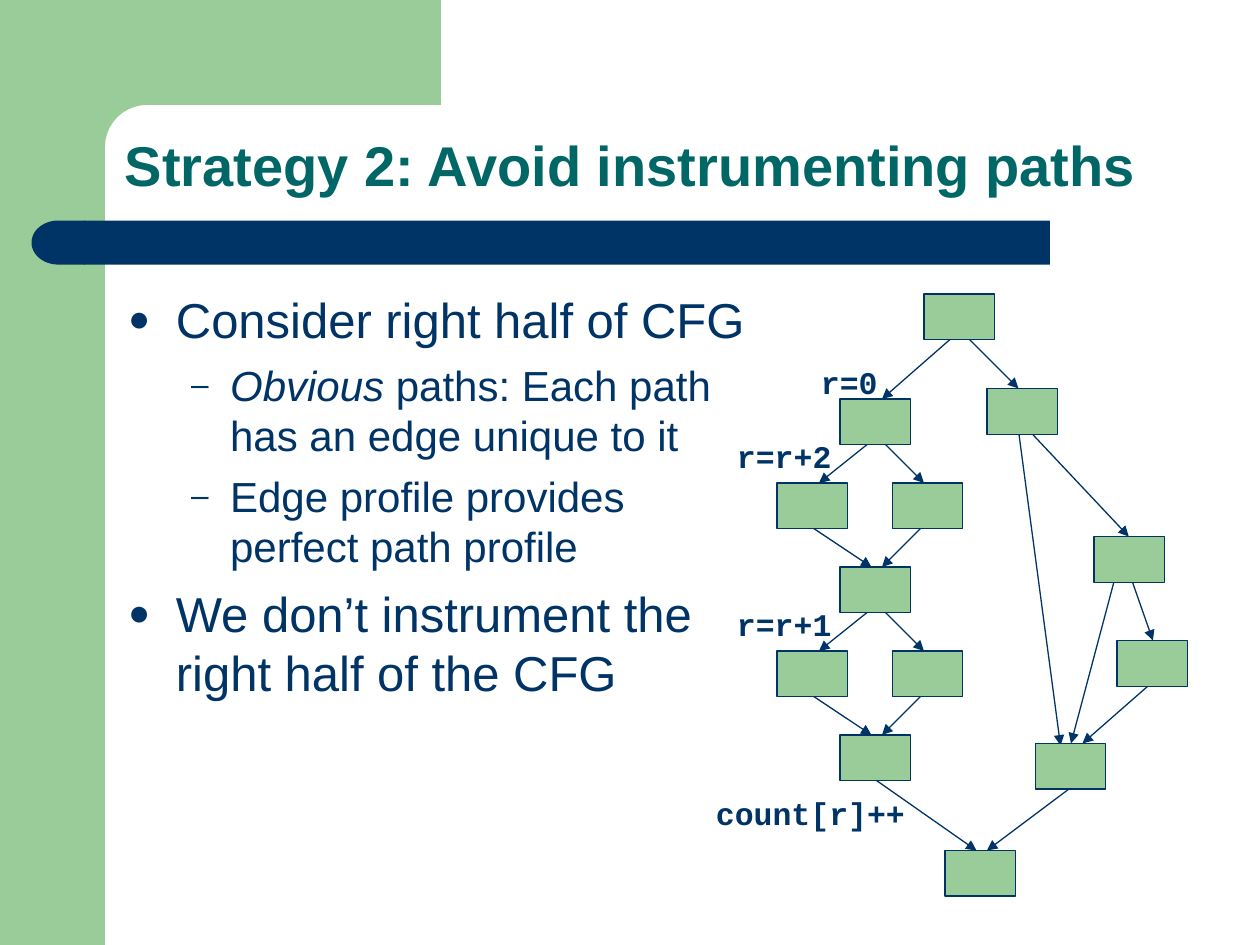
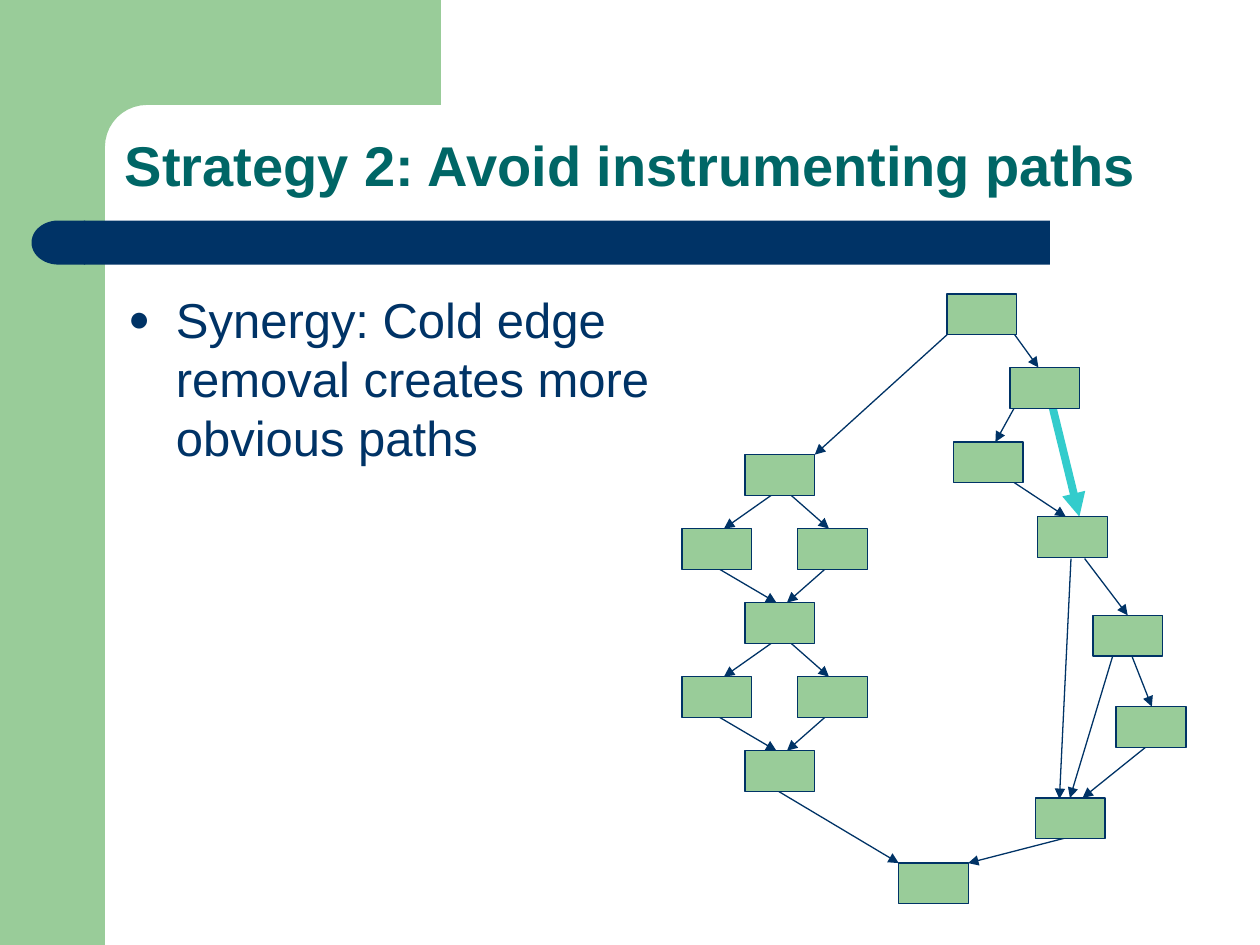
import math
from dataclasses import dataclass

import lxml.etree
import pptx
import pptx.dml.color
import pptx.enum.shapes
import pptx.enum.text
import pptx.oxml.ns
import pptx.util

NAVY, GREEN, TEAL, CYAN, WHITE = "003366", "99CC99", "006666", "33CCCC", "FFFFFF"
SANS, MONO = "Arial", "Courier New"
CELL = pptx.util.Inches(1) / 12  # the slide is 120 columns by 90 rows
COLUMNS, ROWS = 120, 90
TITLE = "Strategy 2: Avoid instrumenting paths"
SHAPES = pptx.enum.shapes.MSO_SHAPE
FIT = pptx.enum.text.MSO_AUTO_SIZE


@dataclass(frozen=True)
class Edge:
    start: tuple[float, float]
    end: tuple[float, float]
    color: str = NAVY
    weight: float = 0.75


@dataclass(frozen=True)
class Ladder:
    """Two stacked diamonds of blocks, starting at the top block."""
    column: float
    row: float
    pitch: float

    def blocks(self) -> list[tuple[float, float]]:
        spots = [(0, 0), (-6, 1), (5, 1), (0, 2), (-6, 3), (5, 3), (0, 4)]
        return [(self.column + x, self.row + y * self.pitch) for x, y in spots]

    def edges(self) -> list[Edge]:
        links = [(3, 0.5, -2, 1), (4, 0.5, 8, 1), (-3, 1.5, 3, 2), (8, 1.5, 4, 2)]
        return [Edge((self.column + x1, self.row + (y1 + level) * self.pitch),
                     (self.column + x2, self.row + (y2 + level) * self.pitch))
                for level in (0, 2) for x1, y1, x2, y2 in links]


@dataclass(frozen=True)
class Graph:
    block_size: tuple[float, float]
    ladder: Ladder
    blocks: list[tuple[float, float]]
    edges: list[Edge]


@dataclass(frozen=True)
class Label:
    text: str
    column: float
    row: float


@dataclass(frozen=True)
class Bullet:
    text: str
    level: int = 0
    lead: str = ""  # italic opening words


@dataclass(frozen=True)
class BulletStyle:
    mark: str
    size: int
    margin: float
    hanging: float
    before: int


@dataclass(frozen=True)
class Page:
    bullets: list[Bullet]
    graph: Graph
    labels: list[Label]


BULLET_STYLES = [BulletStyle("●", 28, 0.38, 0.38, 7), BulletStyle("–", 24, 0.81, 0.31, 6)]

PAGES = [
    Page(
        [Bullet("Consider right half of CFG"),
         Bullet(" paths: Each path has an edge unique to it", 1, "Obvious"),
         Bullet("Edge profile provides perfect path profile", 1),
         Bullet("We don’t instrument the right half of the CFG")],
        Graph(
            (6.7, 4.35), Ladder(80, 38, 8),
            [(88, 28), (94, 37), (104.2, 51.1), (106.4, 61), (98.6, 70.8), (90, 81)],
            [Edge((112, 63), (103.1, 70.8)), Edge((107, 52), (102, 70.8)),
             Edge((97, 41), (101, 71)), Edge((91, 31), (97, 37)),
             Edge((92, 31), (84, 38)), Edge((83, 74), (93, 81)),
             Edge((102, 75), (94, 81)), Edge((107, 53), (109.8, 61)),
             Edge((98, 41), (107.5, 51.1))]),
        [Label("r=r+2", 69, 41), Label("r=r+1", 69, 57),
         Label("r=0", 77, 34), Label("count[r]++", 67, 75)]),
    Page(
        [Bullet("Synergy: Cold edge removal creates more obvious paths")],
        Graph(
            (6.65, 3.88), Ladder(70.95, 43.3, 7.05),
            [(90.2, 28), (96.2, 35), (90.8, 42.1), (98.8, 49.2), (104.1, 58.6),
             (106.3, 67.3), (98.6, 76), (85.6, 82.2)],
            [Edge((111.8, 69), (103.1, 76)), Edge((106.9, 59.4), (101.9, 76)),
             Edge((102, 53.2), (100.9, 76.1)), Edge((96, 31), (98.9, 35)),
             Edge((90.4, 31.7), (77.6, 43.3)), Edge((73.7, 75.1), (85.6, 82.2)),
             Edge((101.5, 79.8), (92.2, 82.2)), Edge((106.9, 60.2), (109.7, 67.3)),
             Edge((103.3, 53.2), (107.4, 58.6)), Edge((96.2, 45.7), (101.5, 49.2)),
             Edge((100.2, 38.6), (102.8, 49.2), CYAN, 4.5),
             Edge((97.4, 37.4), (94.8, 42.1))]),
        []),
]


def grid(*cells: float) -> list[int]:
    return [pptx.util.Emu(round(cell * CELL)) for cell in cells]


def rgb(color: str) -> pptx.dml.color.RGBColor:
    return pptx.dml.color.RGBColor.from_string(color)


def add_element(parent, tag: str, **attributes: str):
    element = lxml.etree.SubElement(parent, pptx.oxml.ns.qn(tag))
    for name, value in attributes.items():
        element.set(name, value)
    return element


def paint(shape, fill: str, outline: str = "") -> None:
    shape.shadow.inherit = False
    shape.fill.solid()
    shape.fill.fore_color.rgb = rgb(fill)
    if outline:
        shape.line.color.rgb = rgb(outline)
        shape.line.width = pptx.util.Pt(0.75)
    else:
        shape.line.fill.background()


def write(para, text: str, *, size: float, color: str = NAVY, font: str = SANS,
          bold: bool = False, italic: bool = False) -> None:
    span = para.add_run()
    span.text = text
    span.font.name = font
    span.font.size = pptx.util.Pt(size)
    span.font.color.rgb = rgb(color)
    span.font.bold = bold
    span.font.italic = italic


def place(shape, *cells: float) -> None:
    shape.left, shape.top, shape.width, shape.height = grid(*cells)


def draw_bands(slide) -> list:
    side = slide.shapes.add_shape(SHAPES.RECTANGLE, *grid(0, 0, 10, ROWS))
    arc = [(14 - 4 * math.sin(turn), 14 - 4 * math.cos(turn))
           for turn in (math.radians(step * 9) for step in range(11))]
    outline = [(42, 10), *arc, (10, 15.4), (6, 15.4), (6, 0)]
    builder = slide.shapes.build_freeform(*grid(42, 0))
    builder.add_line_segments([grid(*point) for point in outline], close=True)
    corner = builder.convert_to_shape()
    bar = slide.shapes.add_shape(SHAPES.RECTANGLE, *grid(8, 21, 92, 4.2))
    cap = slide.shapes.add_shape(SHAPES.FLOWCHART_DELAY, *grid(3, 21, 5.1, 4.2))
    cap.rotation = 180
    bands = [side, corner, bar, cap]
    for band, color in zip(bands, (GREEN, GREEN, NAVY, NAVY)):
        paint(band, color)
    return bands


def share_bands(slide) -> None:
    """Move the bands to the layout, behind its placeholders."""
    layout = slide.slide_layout
    for holder in list(layout.placeholders)[2:]:
        layout.shapes.element.remove(holder.element)
    for index, band in enumerate(draw_bands(slide), start=2):
        layout.shapes.element.insert(index, band.element)


def fill_title(slide) -> None:
    title = slide.shapes.title
    place(title, 10.7, 10.7, 102.7, 8.8)
    frame = title.text_frame
    frame.auto_size = FIT.NONE
    frame.vertical_anchor = pptx.enum.text.MSO_ANCHOR.BOTTOM
    para = frame.paragraphs[0]
    para.alignment = pptx.enum.text.PP_ALIGN.LEFT
    para.line_spacing = 0.9
    write(para, TITLE, size=32, color=TEAL, bold=True)


def fill_body(slide, bullets: list[Bullet]) -> None:
    body = slide.placeholders[1]
    place(body, 11, 27, 62, 53)
    frame = body.text_frame
    frame.auto_size = FIT.NONE
    for index, bullet in enumerate(bullets):
        para = frame.add_paragraph() if index else frame.paragraphs[0]
        style = BULLET_STYLES[bullet.level]
        para.level = bullet.level
        settings = para._p.get_or_add_pPr()
        settings.set("marL", str(pptx.util.Inches(style.margin)))
        settings.set("indent", str(-pptx.util.Inches(style.hanging)))
        tint = add_element(settings, "a:buClr")
        add_element(tint, "a:srgbClr", val=NAVY)
        add_element(settings, "a:buSzPct", val="75000")
        add_element(settings, "a:buFont", typeface=SANS)
        add_element(settings, "a:buChar", char=style.mark)
        para.space_before = pptx.util.Pt(style.before if index else 0)
        if bullet.lead:
            write(para, bullet.lead, size=style.size, italic=True)
        write(para, bullet.text, size=style.size)


def draw_edge(slide, edge: Edge) -> None:
    arrow = slide.shapes.add_connector(
        pptx.enum.shapes.MSO_CONNECTOR.STRAIGHT, *grid(*edge.start, *edge.end))
    arrow.line.color.rgb = rgb(edge.color)
    arrow.line.width = pptx.util.Pt(edge.weight)
    add_element(arrow.line._get_or_add_ln(), "a:tailEnd", type="triangle")
    add_element(arrow._element.spPr, "a:effectLst")


def draw_graph(slide, graph: Graph) -> None:
    for edge in graph.edges + graph.ladder.edges():
        draw_edge(slide, edge)
    for spot in graph.blocks + graph.ladder.blocks():
        block = slide.shapes.add_shape(SHAPES.RECTANGLE, *grid(*spot, *graph.block_size))
        paint(block, GREEN, NAVY)


def draw_label(slide, label: Label) -> None:
    width = 1.8 * len(label.text) + 2.4
    box = slide.shapes.add_textbox(*grid(label.column, label.row, width, 4.8))
    box.text_frame.word_wrap = False
    box.text_frame.auto_size = FIT.SHAPE_TO_FIT_TEXT
    write(box.text_frame.paragraphs[0], label.text, size=18, font=MONO, bold=True)


def main() -> None:
    deck = pptx.Presentation()
    deck.slide_width, deck.slide_height = grid(COLUMNS, ROWS)
    layout = deck.slide_layouts[1]
    layout.background.fill.solid()
    layout.background.fill.fore_color.rgb = rgb(WHITE)
    for number, page in enumerate(PAGES):
        slide = deck.slides.add_slide(layout)
        if number == 0:
            share_bands(slide)
        fill_title(slide)
        fill_body(slide, page.bullets)
        draw_graph(slide, page.graph)
        for label in page.labels:
            draw_label(slide, label)
    deck.save("out.pptx")


if __name__ == "__main__":
    main()
